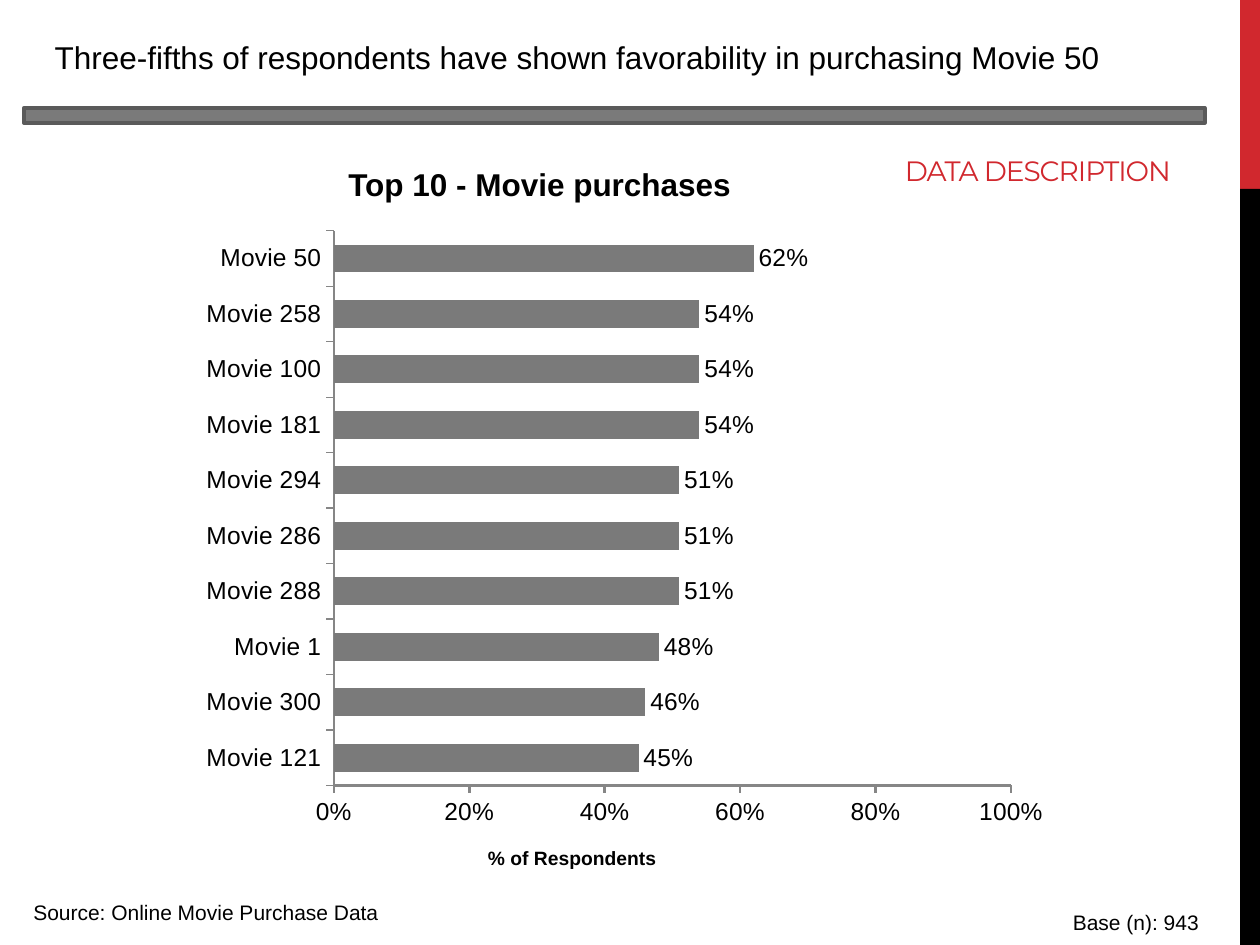
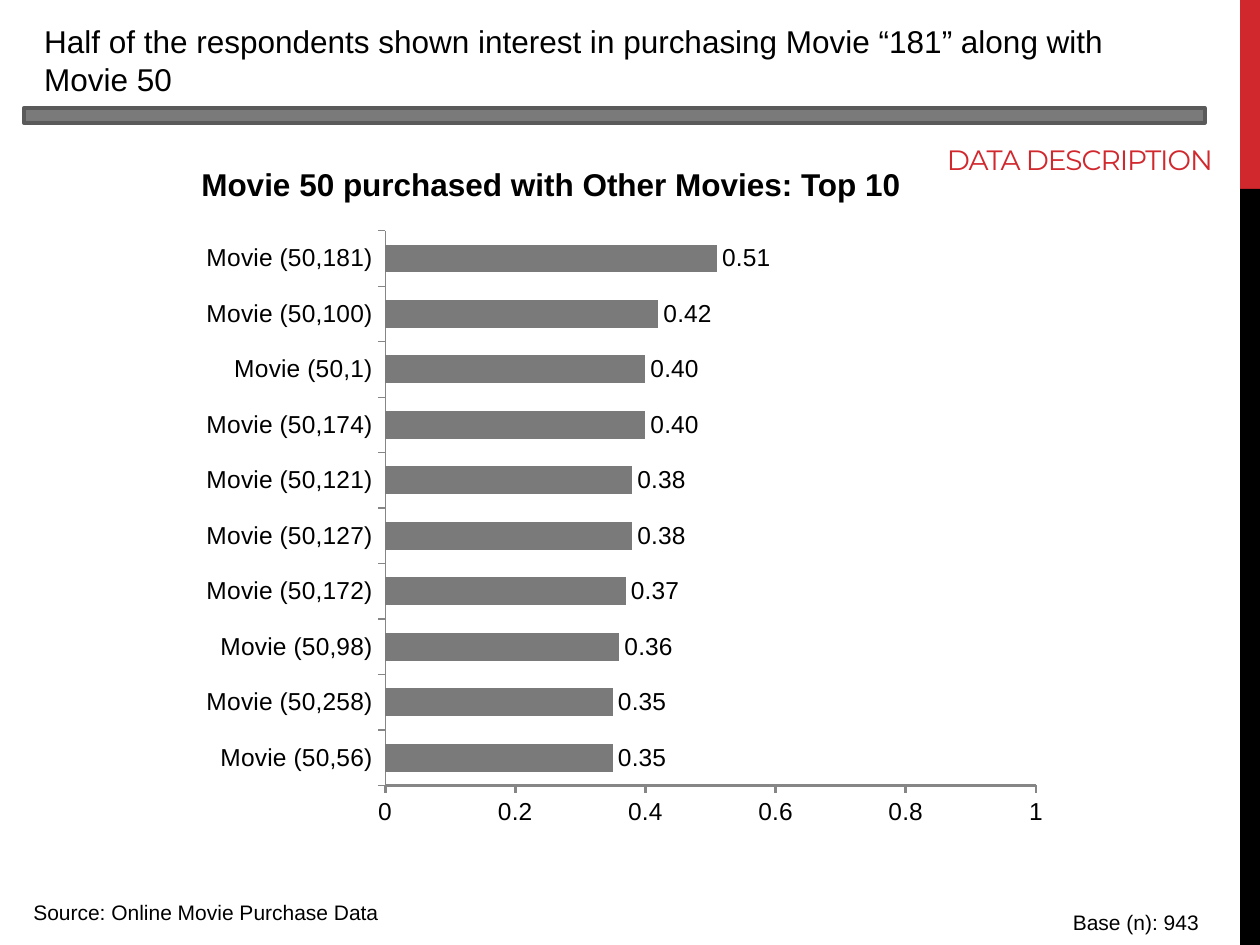
from pptx import Presentation
from pptx.chart.data import CategoryChartData
from pptx.dml.color import RGBColor
from pptx.enum.chart import XL_CHART_TYPE, XL_LABEL_POSITION, XL_TICK_MARK
from pptx.enum.shapes import MSO_SHAPE
from pptx.enum.text import MSO_ANCHOR, MSO_AUTO_SIZE, PP_ALIGN
from pptx.util import Inches, Pt

RECT, MINUS = MSO_SHAPE.RECTANGLE, MSO_SHAPE.MATH_MINUS
BAR = XL_CHART_TYPE.BAR_CLUSTERED
OUT, END = XL_TICK_MARK.OUTSIDE, XL_LABEL_POSITION.OUTSIDE_END
TOP, FIXED = MSO_ANCHOR.TOP, MSO_AUTO_SIZE.NONE
LEFT, CENTER = PP_ALIGN.LEFT, PP_ALIGN.CENTER

COLORS = {"red": "D1282E", "black": "000000", "gray": "7A7A7A",
          "edge": "5A5A5A", "axis": "868686"}
FRAME = {"word_wrap": True, "vertical_anchor": TOP, "auto_size": FIXED}
COLS, ROWS = 120, 90
TITLE_ONLY = 5


def color(name):
    return RGBColor.from_string(COLORS[name])


def apply(item, values):
    for key, value in values.items():
        setattr(item, key, value)


class Deck:
    """Holds the look of the slides and the slide being built."""

    def __init__(self):
        self.prs = Presentation()
        self.prs.slide_width, self.prs.slide_height = Inches(10), Inches(7.5)
        self.slide = None

    def box(self, col, row, wide, high):
        """Turn grid columns and rows into lengths on the slide."""
        unit_x, unit_y = self.prs.slide_width / COLS, self.prs.slide_height / ROWS
        return [round(n) for n in (col * unit_x, row * unit_y,
                                   wide * unit_x, high * unit_y)]

    def font(self, font, size, tint="black", bold=False, face="Arial"):
        apply(font, {"size": Pt(size), "bold": bold, "name": face})
        font.color.rgb = color(tint)

    def fill_text(self, shape, text, size, align=LEFT, **look):
        frame = shape.text_frame
        apply(frame, FRAME)
        para = frame.paragraphs[0]
        para.alignment = align
        run = para.add_run()
        run.text = text
        self.font(run.font, size, **look)
        return run

    def shape(self, kind, place, fill, edge=None):
        shape = self.slide.shapes.add_shape(kind, *self.box(*place))
        shape.shadow.inherit = False
        shape.fill.solid()
        shape.fill.fore_color.rgb = color(fill)
        if edge:
            shape.line.color.rgb = color(edge)
            shape.line.width = Pt(2.25)
        else:
            shape.line.fill.background()

    def text(self, place, text, size, **look):
        shape = self.slide.shapes.add_textbox(*self.box(*place))
        return self.fill_text(shape, text, size, **look)

    def title(self, place, text):
        shape = self.slide.shapes.title
        apply(shape, dict(zip(("left", "top", "width", "height"),
                              self.box(*place))))
        self.fill_text(shape, text, 18)

    def label(self, col, row):
        run = self.text((col, row, 38, 6), "DATA DESCRIPTION", 16,
                        tint="red", face="Montserrat")
        run.font._element.set("spc", "-60")

    def chart(self, pairs, scale, digits):
        """Draw bars; scale and digits are the axis and label formats."""
        data = CategoryChartData()
        data.categories = [name for name, _ in pairs]
        data.add_series("Series 1", [value for _, value in pairs])
        place = self.box(18, 20.8, 83, 59)
        chart = self.slide.shapes.add_chart(BAR, *place, data).chart
        apply(chart, {"has_legend": False, "has_title": False})
        self.font(chart.font, 18)

        plot = chart.plots[0]
        apply(plot, {"gap_width": 99, "vary_by_categories": False,
                     "has_data_labels": True})
        fill = plot.series[0].format.fill
        fill.solid()
        fill.fore_color.rgb = color("gray")
        marks = plot.data_labels
        apply(marks, {"show_value": True, "position": END,
                      "number_format": digits, "number_format_is_linked": False})
        self.font(marks.font, 14)

        for axis in (chart.category_axis, chart.value_axis):
            apply(axis, {"has_major_gridlines": False, "major_tick_mark": OUT})
            self.font(axis.tick_labels.font, 14)
            axis.format.line.color.rgb = color("axis")
        chart.category_axis.format.line.width = Pt(0.75)
        chart.value_axis.format.line.width = Pt(1.5)
        apply(chart.value_axis, {"minimum_scale": 0, "maximum_scale": 1,
                                 "major_unit": 0.2})
        apply(chart.value_axis.tick_labels, {
            "number_format": scale, "number_format_is_linked": False})

    def page(self):
        """Start a slide with its side band, rule and footers."""
        layout = self.prs.slide_layouts[TITLE_ONLY]
        self.slide = self.prs.slides.add_slide(layout)
        self.shape(RECT, (118.1, 0, 1.9, 18), "red")
        self.shape(RECT, (118.1, 18, 1.9, 72), "black")
        self.shape(MINUS, (-18, 8, 153, 6), "gray", "edge")
        self.text((2, 85.1, 48, 3.6), "Source: Online Movie Purchase Data", 12)
        self.text((101, 86, 17, 3.6), "Base (n): 943", 12)


BUYS = [("Movie 121", 0.45), ("Movie 300", 0.46), ("Movie 1", 0.48),
        ("Movie 288", 0.51), ("Movie 286", 0.51), ("Movie 294", 0.51),
        ("Movie 181", 0.54), ("Movie 100", 0.54), ("Movie 258", 0.54),
        ("Movie 50", 0.62)]
JOINT = [(56, 0.35), (258, 0.35), (98, 0.36), (172, 0.37), (127, 0.38),
         (121, 0.38), (174, 0.4), (1, 0.4), (100, 0.42), (181, 0.51)]


def main():
    deck = Deck()

    deck.page()
    deck.title((4, 3, 109, 4.8), "Three-fifths of respondents have shown "
               "favorability in purchasing Movie 50")
    deck.label(85, 14)
    deck.chart(BUYS, "0%", "0%")
    deck.text((32, 15.1, 40, 4.8), "Top 10 - Movie purchases", 18, bold=True)
    deck.text((42, 80, 25, 3.5), "% of Respondents", 11,
              align=CENTER, bold=True)

    deck.page()
    deck.title((3, 1.5, 109, 8.5), "Half of the respondents shown interest in "
               "purchasing Movie “181” along with Movie 50")
    deck.label(89, 13)
    deck.chart([(f"Movie (50,{film})", share) for film, share in JOINT],
               "General", "#,##0.00")
    deck.text((18, 15.1, 73, 4.8),
              "Movie 50 purchased with Other Movies: Top 10", 18, bold=True)

    deck.prs.save("out.pptx")


if __name__ == "__main__":
    main()
